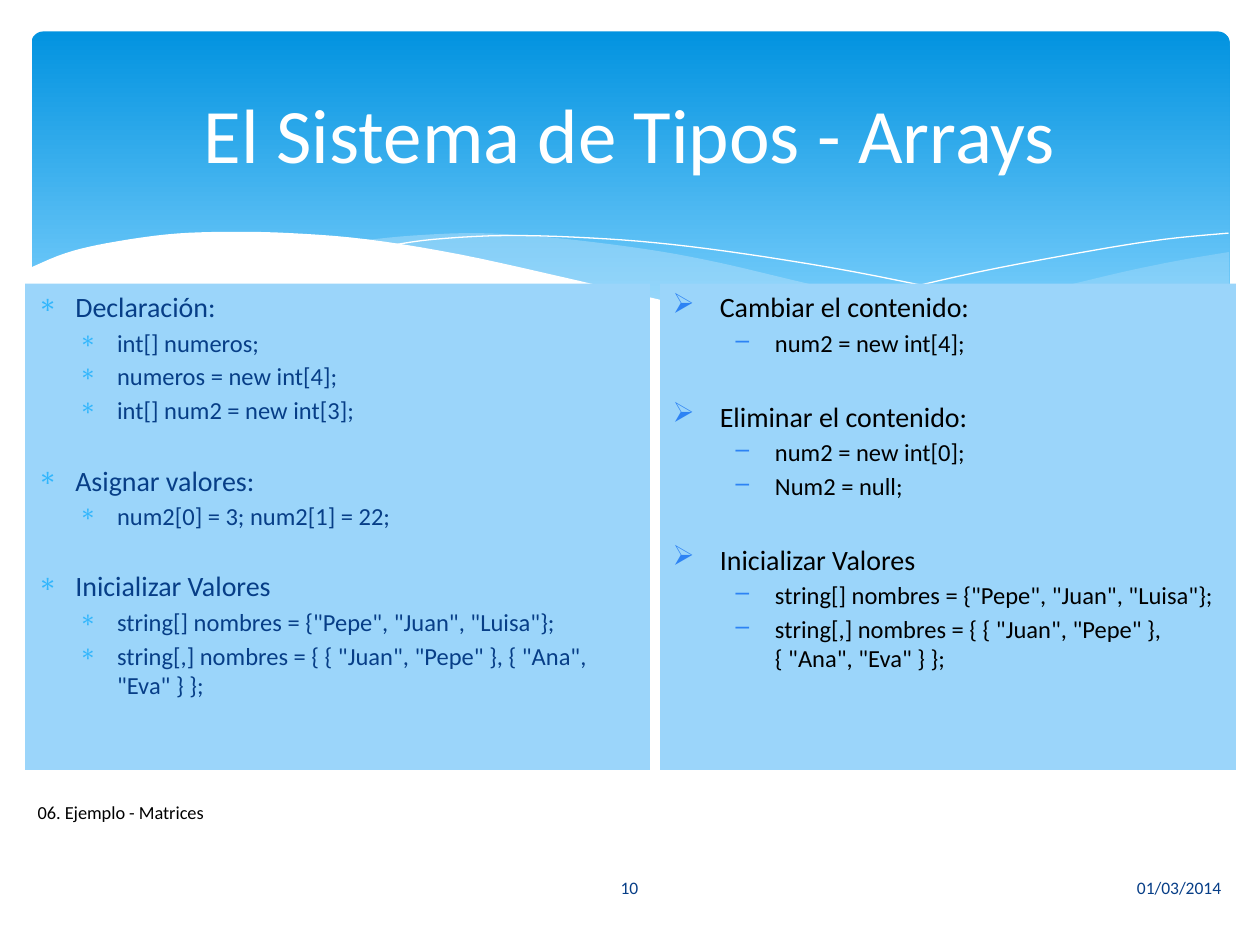
"""Build the slide on arrays in the type system."""
from lxml.etree import SubElement
from pptx import Presentation
from pptx.dml.color import RGBColor
from pptx.enum.shapes import MSO_SHAPE
from pptx.enum.text import MSO_ANCHOR, PP_ALIGN
from pptx.oxml.ns import qn
from pptx.util import Pt

FONT = "Calibri"
WHITE = RGBColor(0xFF, 0xFF, 0xFF)
BLACK = RGBColor(0x00, 0x00, 0x00)
NAVY = RGBColor(0x07, 0x3E, 0x87)
SKY = RGBColor(0x02, 0x93, 0xE0)
PALE_SKY = RGBColor(0x83, 0xD3, 0xFE)
MIST = RGBColor(0xC6, 0xE7, 0xFC)
PANEL = RGBColor(0x9B, 0xD5, 0xFA)
STAR = RGBColor(0x31, 0xB6, 0xFD)
ARROW = RGBColor(0x2D, 0x83, 0xF4)

TITLE = "El Sistema de Tipos - Arrays"
INITIAL_VALUES = ("Inicializar Valores", [
    'string[] nombres = {"Pepe", "Juan", "Luisa"};',
    'string[,] nombres = { { "Juan", "Pepe" }, { "Ana", "Eva" } };',
])
PANELS = [
    {
        "box": (14.4, 162, 357, 278), "color": NAVY, "bullet_color": STAR,
        "bullets": "∗∗", "indents": [(21.6, 21.6), (45.4, 21.6)], "gap": 22,
        "groups": [
            ("Declaración:", ["int[] numeros;", "numeros = new int[4];",
                              "int[] num2 = new int[3];"]),
            ("Asignar valores:", ["num2[0] = 3; num2[1] = 22;"]),
            INITIAL_VALUES,
        ],
    },
    {
        "box": (377.3, 162, 329, 278), "color": BLACK, "bullet_color": ARROW,
        "bullets": "➢–", "indents": [(27, 27), (58.5, 22.5)], "gap": 24,
        "groups": [
            ("Cambiar el contenido:", ["num2 = new int[4];"]),
            ("Eliminar el contenido:", ["num2 = new int[0];", "Num2 = null;"]),
            INITIAL_VALUES,
        ],
    },
]
LABELS = [
    ("01/03/2014", (406.8, 492.5, 298, 28.8), 10, NAVY, PP_ALIGN.RIGHT),
    ("10", (314, 492.5, 91.4, 28.8), 10, NAVY, PP_ALIGN.CENTER),
    ("06. Ejemplo - Matrices", (14.4, 453.6, 116, 20.9), 10.5, BLACK, PP_ALIGN.LEFT),
]
RIGHT_WAVE = [
    [(702.5, 144), (673, 149), (641.5, 155.5), (599, 165.6), (542, 178.5), (476, 191)],
    [(476, 191), (517.7, 195.5), (562.3, 199.4), (601, 199.5), (640, 196),
     (673, 188.6), (702.5, 178)],
]
MIDDLE_WAVE = [
    [(643, 196.5), (602.6, 190.8), (558, 183), (508, 172.8), (453, 160), (409.7, 149.8),
     (370, 142.5), (318, 136), (273.6, 133.2), (236, 134.6), (206, 137.5)],
    [(206, 137.5), (246, 143.3), (291, 152), (323, 160), (381.6, 172.8), (432.7, 183.6),
     (478.8, 191.5), (530, 198), (573, 200), (610.5, 199.5), (643, 196.5)],
]
LONG_LINE = [[(222.5, 140.4), (247.7, 136.8), (288.7, 134.6), (337.7, 136), (383.8, 139.7),
              (437.8, 146.9), (500.4, 157.7), (572.4, 173.5), (653, 195.8)]]
SHORT_LINE = [[(441.4, 185), (500.4, 169.2), (558.7, 155.5), (623.5, 143.3),
               (665, 136.8), (702, 133.2)]]
WHITE_WAVE = [
    [(703.5, 177), (669.6, 188.6), (630, 196.6), (582.5, 199.4), (535.7, 197.3),
     (481, 190.8), (416.9, 180), (362, 167.8), (321.8, 158.4), (262.8, 145.4),
     (210, 136.8), (165.6, 133.2), (127.4, 132.5), (95, 134), (61, 139),
     (37.4, 144.7), (16.5, 153.4)],
    [(16.5, 237), (703.5, 237)],
]
WAVES = [
    (RIGHT_WAVE, MIST, 29),
    (MIDDLE_WAVE, MIST, 40),
    (LONG_LINE, None, 100),
    (SHORT_LINE, None, 100),
    (WHITE_WAVE, WHITE, 100),
]


def smooth(knots, steps=5):
    """Return points on a Catmull-Rom curve through the knots."""
    padded = [knots[0], *knots, knots[-1]]
    points = [knots[0]]
    for a, b, c, d in zip(padded, padded[1:], padded[2:], padded[3:]):
        for step in range(1, steps + 1):
            t = step / steps
            points.append(tuple(
                (2 * q + (r - p) * t + (2 * p - 5 * q + 4 * r - s) * t ** 2
                 + (3 * q - p - 3 * r + s) * t ** 3) / 2
                for p, q, r, s in zip(a, b, c, d)))
    return points


def add_wave(page, curves, color, opacity):
    """Draw a filled wave, or a thin white line when there is no colour."""
    points = [(Pt(x), Pt(y)) for curve in curves for x, y in smooth(curve)]
    builder = page.shapes.build_freeform(*points[0])
    builder.add_line_segments(points[1:], close=color is not None)
    wave = builder.convert_to_shape()
    wave.shadow.inherit = False
    if color is None:
        wave.fill.background()
        wave.line.color.rgb = WHITE
        wave.line.width = Pt(0)
        return
    wave.line.fill.background()
    wave.fill.solid()
    wave.fill.fore_color.rgb = color
    if opacity < 100:
        tint = wave.fill._xPr.find(".//" + qn("a:srgbClr"))
        SubElement(tint, qn("a:alpha"), val=str(opacity * 1000))


def add_banner(page):
    """Draw the gradient band behind the title."""
    banner = page.shapes.add_shape(
        MSO_SHAPE.ROUNDED_RECTANGLE, Pt(18), Pt(18), Pt(684.7), Pt(194.4))
    banner.adjustments[0] = 0.034
    banner.shadow.inherit = False
    banner.line.fill.background()
    banner.fill.gradient()
    banner.fill.gradient_angle = 270
    stops = banner.fill.gradient_stops
    for stop, color, position in zip(stops, (SKY, PALE_SKY), (0, 0.9)):
        stop.color.rgb = color
        stop.position = position


def format_para(para, size, color, align):
    """Set the alignment of a paragraph and the font of its runs."""
    para.alignment = align
    for span in para.runs:
        span.font.name = FONT
        span.font.size = Pt(size)
        span.font.color.rgb = color


def add_panel(page, panel):
    """Draw one panel with its bulleted headings and items."""
    box = page.shapes.add_shape(MSO_SHAPE.RECTANGLE, *map(Pt, panel["box"]))
    box.shadow.inherit = False
    box.line.fill.background()
    box.fill.solid()
    box.fill.fore_color.rgb = PANEL
    frame = box.text_frame
    frame.word_wrap = True
    frame.vertical_anchor = MSO_ANCHOR.TOP
    lines = [(text, level) for heading, items in panel["groups"]
             for text, level in [(heading, 0), *((item, 1) for item in items)]]
    frame.text = "\n".join(text for text, level in lines)
    for index, (para, (text, level)) in enumerate(zip(frame.paragraphs, lines)):
        para.level = level
        para.space_before = Pt(panel["gap"] if index and level == 0 else 2.5)
        format_para(para, (16, 14)[level], panel["color"], PP_ALIGN.LEFT)
        margin, hanging = panel["indents"][level]
        properties = para._p.get_or_add_pPr()
        properties.set("marL", str(Pt(margin)))
        properties.set("indent", str(-Pt(hanging)))
        bullet_color = SubElement(properties, qn("a:buClr"))
        SubElement(bullet_color, qn("a:srgbClr"), val=str(panel["bullet_color"]))
        SubElement(properties, qn("a:buChar"), char=panel["bullets"][level])


def add_label(page, text, place, size, color, align):
    """Add one small line of text."""
    box = page.shapes.add_textbox(*map(Pt, place))
    box.text_frame.word_wrap = align != PP_ALIGN.LEFT
    box.text_frame.vertical_anchor = MSO_ANCHOR.MIDDLE
    box.text_frame.text = text
    format_para(box.text_frame.paragraphs[0], size, color, align)


def main():
    """Assemble and save the deck."""
    deck = Presentation()
    deck.slide_width, deck.slide_height = Pt(720), Pt(540)
    page = deck.slides.add_slide(deck.slide_layouts[5])
    add_banner(page)
    for wave in WAVES:
        add_wave(page, *wave)
    title = page.shapes.title
    title.element.getparent().append(title.element)
    title.left, title.top, title.width, title.height = map(Pt, (36, 26.6, 648, 98.6))
    title.text_frame.text = TITLE
    title.text_frame.vertical_anchor = MSO_ANCHOR.MIDDLE
    format_para(title.text_frame.paragraphs[0], 44, WHITE, PP_ALIGN.CENTER)
    for panel in PANELS:
        add_panel(page, panel)
    for label in LABELS:
        add_label(page, *label)
    deck.save("out.pptx")


if __name__ == "__main__":
    main()
